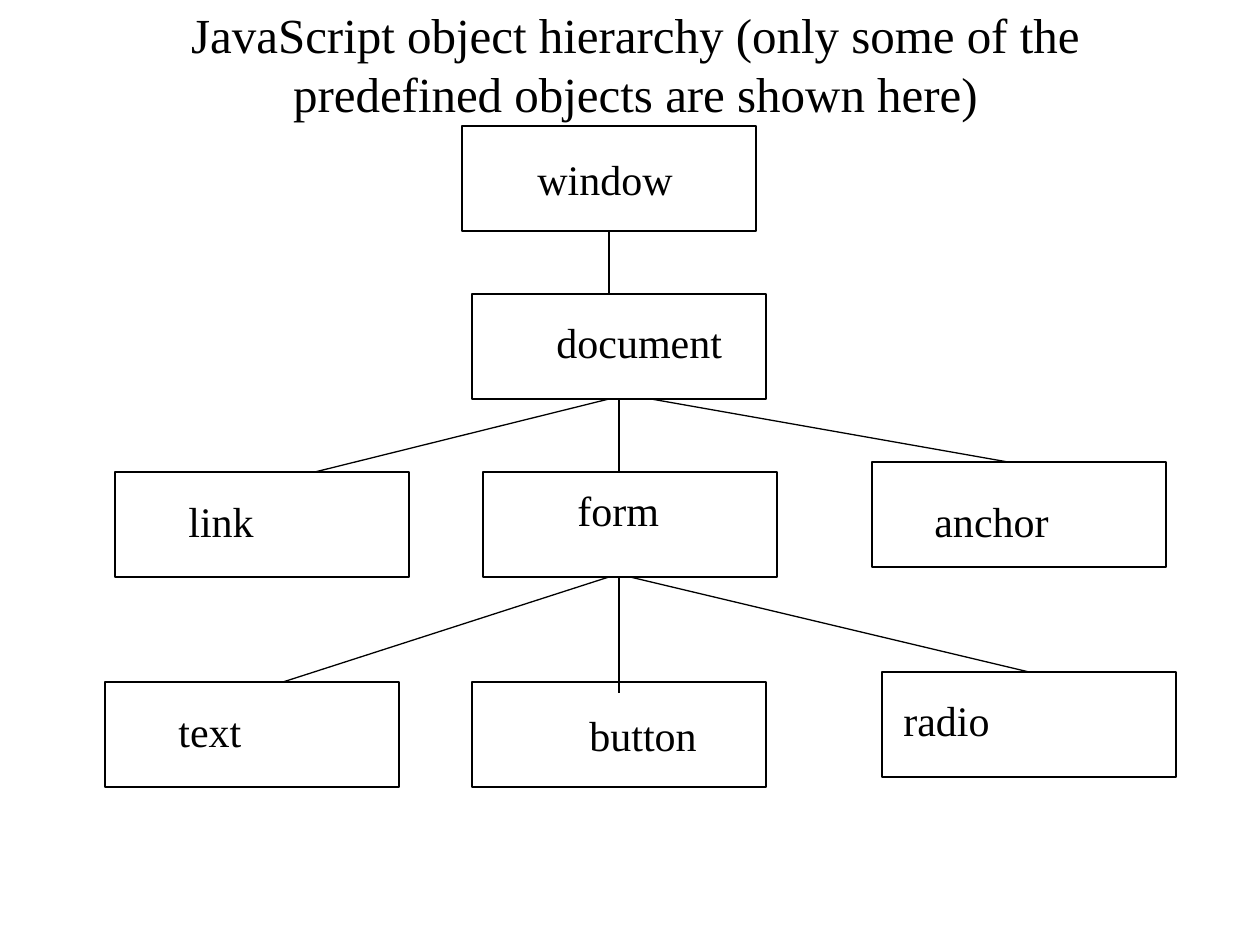
from pptx import Presentation
from pptx.dml.color import RGBColor
from pptx.enum.shapes import MSO_CONNECTOR, MSO_SHAPE
from pptx.enum.text import MSO_ANCHOR, MSO_AUTO_SIZE, PP_ALIGN
from pptx.oxml.ns import qn
from pptx.util import Pt
from lxml import etree

RECTANGLE = MSO_SHAPE.RECTANGLE
STRAIGHT = MSO_CONNECTOR.STRAIGHT
MIDDLE = MSO_ANCHOR.MIDDLE
NO_FIT, GROW = MSO_AUTO_SIZE.NONE, MSO_AUTO_SIZE.SHAPE_TO_FIT_TEXT
LEFT, CENTER = PP_ALIGN.LEFT, PP_ALIGN.CENTER

COLORS = {"ink": "000000"}
INK = RGBColor.from_string(COLORS["ink"])
FONT = "Times New Roman"
BOX_WIDTH, BOX_HEIGHT, LABEL_HEIGHT = 294, 105, 63


def emu(*pixels):
    return [round(value * 914400 / 126) for value in pixels]


def write(frame, text, size, align):
    para = frame.paragraphs[0]
    para.alignment = align
    span = para.add_run()
    span.text = text
    for name, value in {"name": FONT, "size": Pt(size)}.items():
        setattr(span.font, name, value)
    span.font.color.rgb = INK


deck = Presentation()
deck.slide_width, deck.slide_height = emu(1260, 945)
page = deck.slides.add_slide(deck.slide_layouts[5])

# Title
title = page.shapes.title
title.left, title.top, title.width, title.height = emu(95, 42, 1081, 42)
title_format = {"word_wrap": True, "auto_size": NO_FIT, "vertical_anchor": MIDDLE}
for name, value in title_format.items():
    setattr(title.text_frame, name, value)
write(title.text_frame,
      "JavaScript object hierarchy (only some of the predefined objects are shown here)",
      28, CENTER)

# Objects: name, box left and top, label left, top and width
objects = [
    ("window", 462, 126, 525, 147, 164),
    ("document", 472, 294, 544, 310, 194),
    ("link", 115, 472, 176, 489, 95),
    ("form", 483, 472, 565, 478, 111),
    ("anchor", 872, 462, 922, 489, 143),
    ("text", 105, 682, 166, 699, 92),
    ("button", 472, 682, 577, 703, 136),
    ("radio", 882, 672, 891, 688, 115),
]
for _, left, top, *_ in objects:
    box = page.shapes.add_shape(RECTANGLE, *emu(left, top, BOX_WIDTH, BOX_HEIGHT))
    box.shadow.inherit = False
    box.fill.background()
    box.line.color.rgb = INK
    box.line.width = Pt(0.75)

# Lines from parent to child: start x, y and end x, y
links = [
    (609, 231, 609, 294),
    (609, 399, 315, 472),
    (619, 399, 619, 472),
    (651, 399, 1008, 462),
    (609, 577, 283, 682),
    (619, 577, 619, 693),
    (630, 577, 1029, 672),
]
for ends in links:
    link = page.shapes.add_connector(STRAIGHT, *emu(*ends))
    link.line.color.rgb = INK
    link.line.width = Pt(0.75)
    etree.SubElement(link._element.spPr, qn("a:effectLst"))

# Labels
for text, _, _, left, top, width in objects:
    label = page.shapes.add_textbox(*emu(left, top, width, LABEL_HEIGHT))
    label.text_frame.word_wrap = False
    label.text_frame.auto_size = GROW
    write(label.text_frame, text, 24, LEFT)

deck.save("out.pptx")
